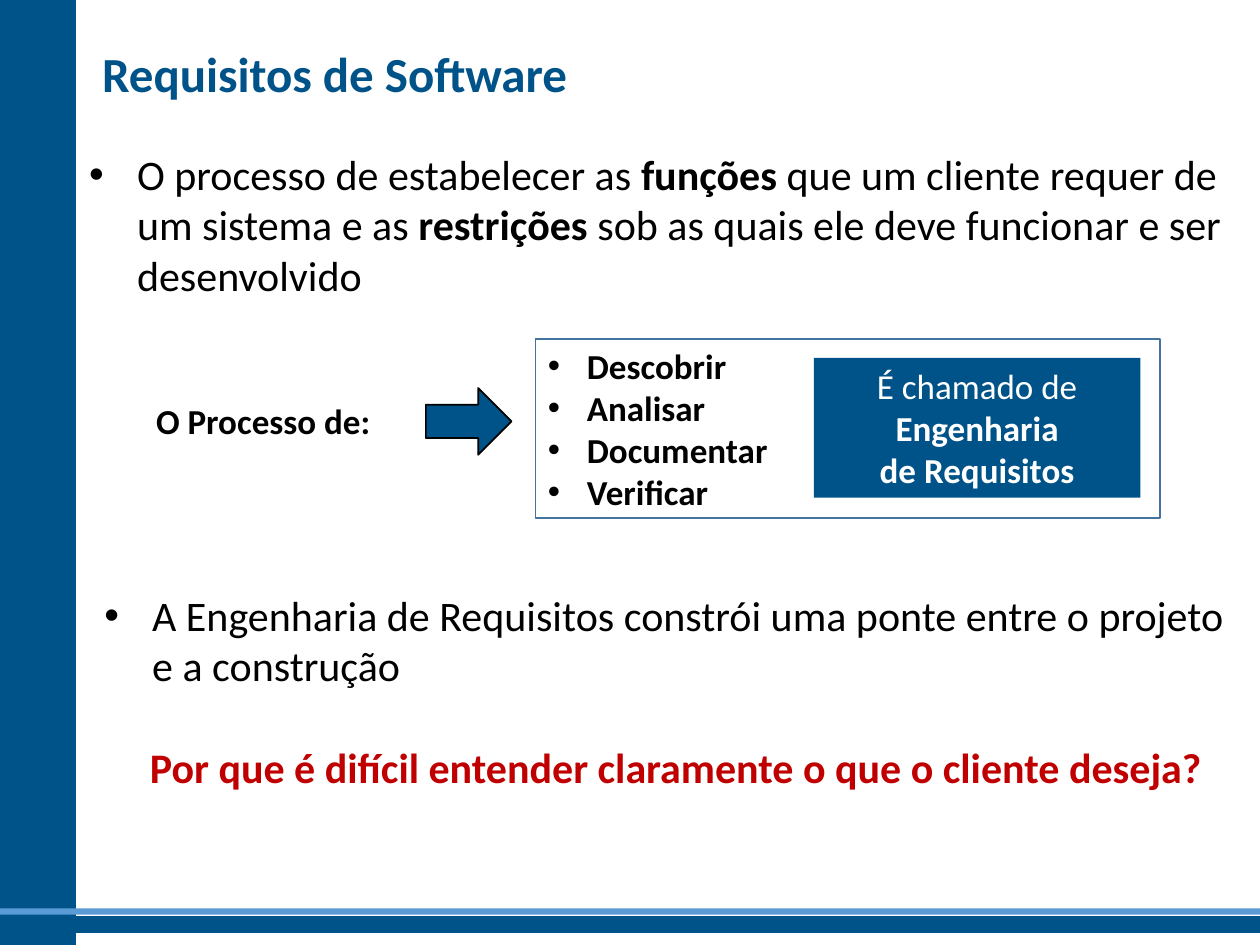
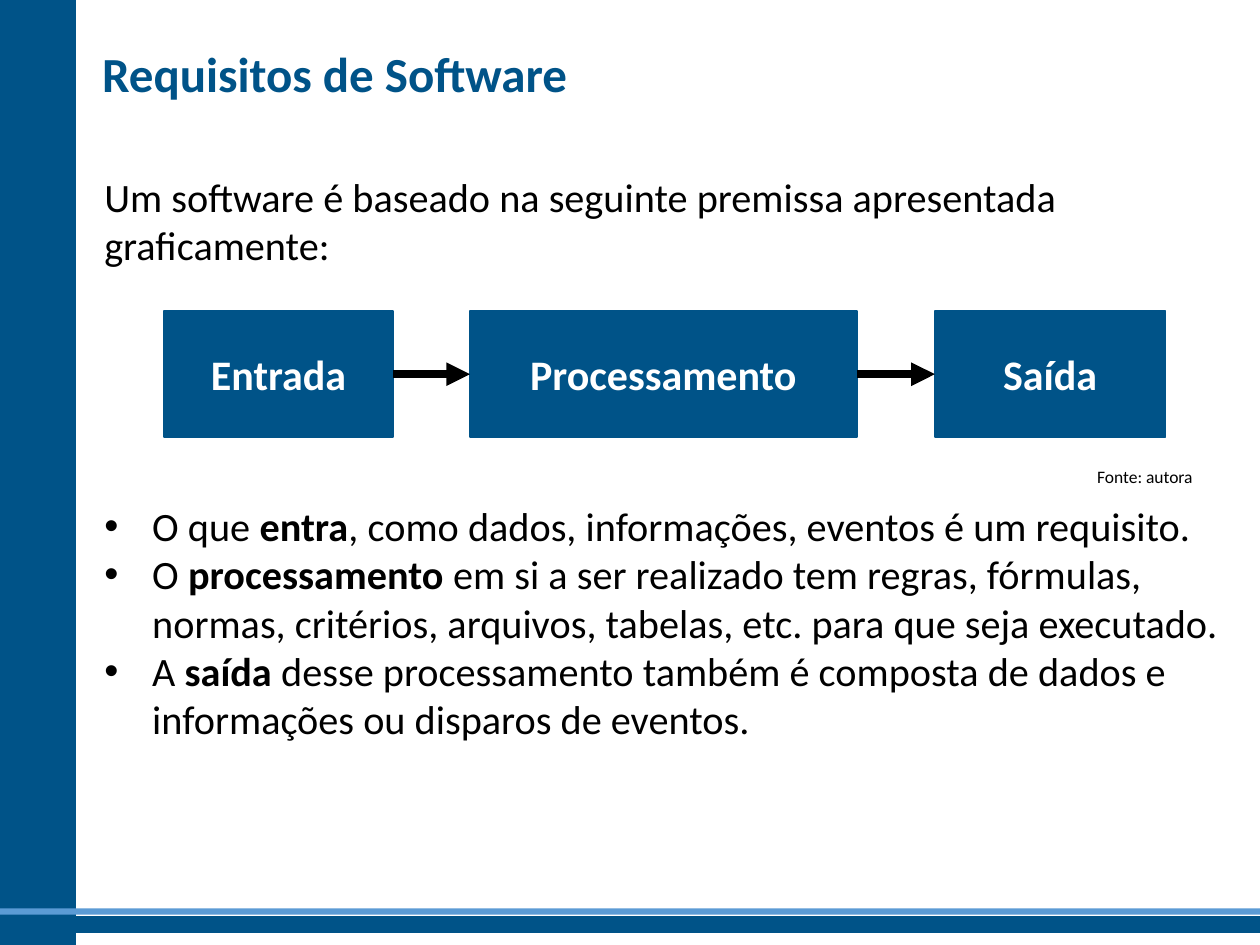
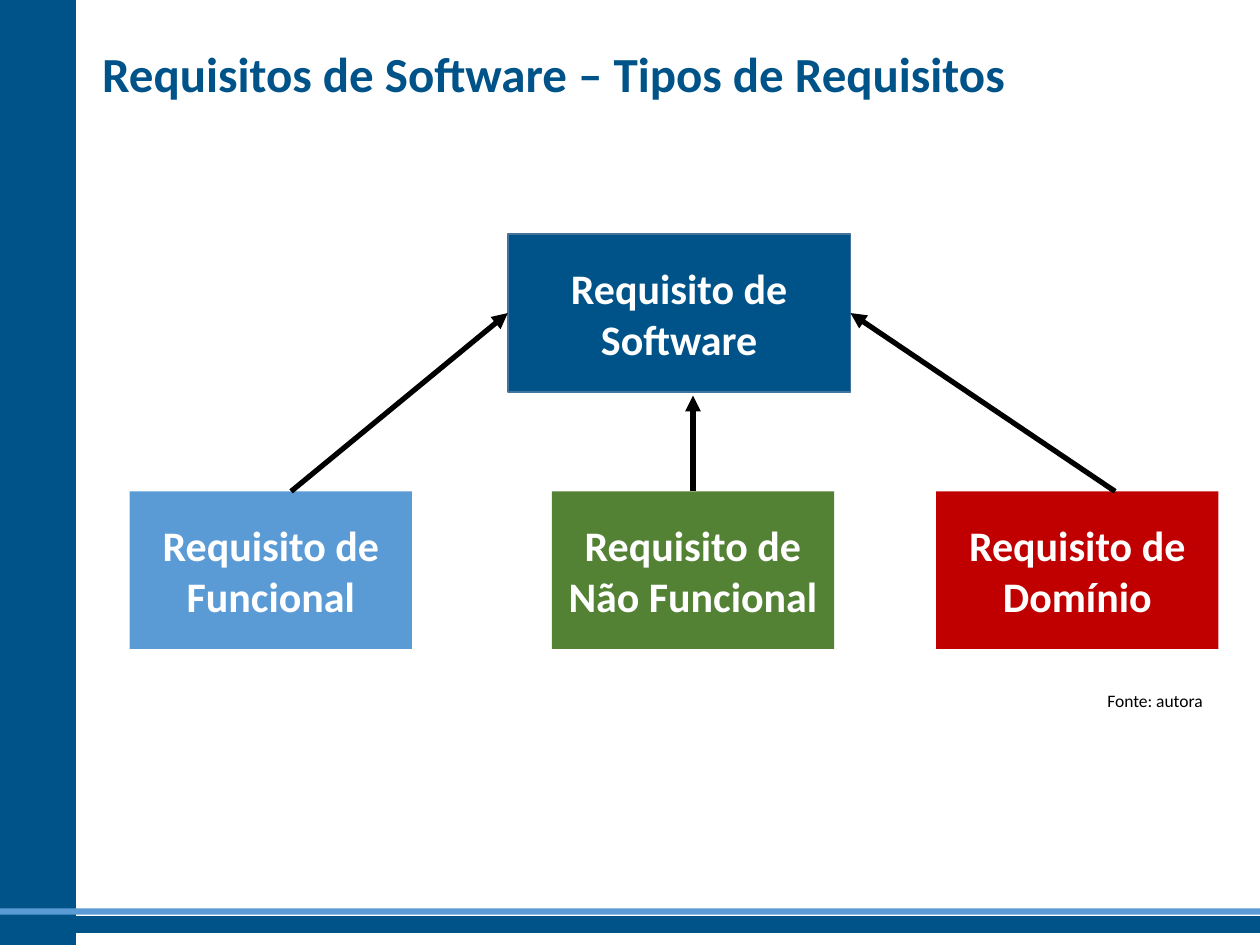
from dataclasses import dataclass
from typing import Optional

from lxml.etree import SubElement
from pptx import Presentation
from pptx.dml.color import RGBColor
from pptx.enum.shapes import MSO_CONNECTOR as Link, MSO_SHAPE as Form
from pptx.enum.text import MSO_ANCHOR as Anchor, MSO_AUTO_SIZE as Fit, PP_ALIGN as Align
from pptx.oxml.ns import qn
from pptx.util import Inches, Pt

BLUE = RGBColor(0x00, 0x53, 0x88)
SKY = RGBColor(0x5B, 0x9B, 0xD5)
EDGE = RGBColor(0x43, 0x73, 0x9E)
GREEN = RGBColor(0x54, 0x82, 0x35)
RED = RGBColor(0xC0, 0x00, 0x00)
BLACK = RGBColor(0x00, 0x00, 0x00)
WHITE = RGBColor(0xFF, 0xFF, 0xFF)
FONT = "Calibri"
TITLE = "Requisitos de Software"
TOP, LEFT, RIGHT = 0, 1, 3


@dataclass
class Para:
    """A paragraph, with bold parts between double asterisks."""
    text: str
    size: float = 24
    color: RGBColor = BLACK
    bold: bool = False
    align: Align = Align.LEFT
    indent: float = 0
    before: float = 0


@dataclass
class Box:
    """A filled preset shape."""
    left: float
    top: float
    width: float
    height: float
    fill: RGBColor = BLUE
    line: Optional[RGBColor] = None
    form: Form = Form.RECTANGLE
    paras: tuple[Para, ...] = ()


BANDS = (
    Box(0, 0, 0.6, 7.5, line=BLUE),
    Box(0, 7.28, 10, 0.12, line=BLUE),
    Box(0, 7.21, 10, 0.05, SKY),
)


def label(text: str, size: float = 24, bold: bool = True) -> Para:
    """Return a white centred paragraph."""
    return Para(text, size, WHITE, bold, Align.CENTER)


def bullet(text: str, size: float = 24) -> Para:
    """Return a bulleted paragraph of body text."""
    return Para(text, size, indent=0.38)


def write(frame, paras: tuple[Para, ...]) -> None:
    """Fill a text frame with paragraphs."""
    for i, item in enumerate(paras):
        para = frame.add_paragraph() if i else frame.paragraphs[0]
        para.alignment = item.align
        if item.before:
            para.space_before = Pt(item.before)
        if item.indent:
            props = para._p.get_or_add_pPr()
            props.set("marL", str(Inches(item.indent)))
            props.set("indent", str(-Inches(item.indent)))
            SubElement(props, qn("a:buFont"), typeface="Arial")
            SubElement(props, qn("a:buChar"), char="•")
        font = para.font
        font.name, font.size, font.bold = FONT, Pt(item.size), item.bold
        font.color.rgb = item.color
        for j, part in enumerate(item.text.split("**")):
            if part:
                run = para.add_run()
                run.text = part
                if j % 2:
                    run.font.bold = True


def draw(slide, box: Box):
    """Draw a filled shape and its text."""
    shape = slide.shapes.add_shape(
        box.form, Inches(box.left), Inches(box.top), Inches(box.width), Inches(box.height))
    shape.shadow.inherit = False
    shape.fill.solid()
    shape.fill.fore_color.rgb = box.fill
    if box.line is None:
        shape.line.fill.background()
    else:
        shape.line.color.rgb = box.line
        shape.line.width = Pt(1)
    shape.text_frame.vertical_anchor = Anchor.MIDDLE
    write(shape.text_frame, box.paras)
    return shape


def note(slide, left: float, top: float, width: float, height: float,
         *paras: Para, wrap: bool = True) -> None:
    """Add a text box."""
    frame = slide.shapes.add_textbox(
        Inches(left), Inches(top), Inches(width), Inches(height)).text_frame
    frame.word_wrap = wrap
    frame.auto_size = Fit.SHAPE_TO_FIT_TEXT
    write(frame, paras)


def credit(slide, left: float, top: float) -> None:
    """Add the source line of a figure."""
    note(slide, left, top, 0.98, 0.27, Para("Fonte: autora", 10), wrap=False)


def arrow(slide, start: tuple[float, float], end: tuple[float, float], width: float):
    """Draw a black line with a head at its end."""
    line = slide.shapes.add_connector(
        Link.STRAIGHT, *(Inches(v) for v in (*start, *end)))
    line.line.color.rgb = BLACK
    line.line.width = Pt(width)
    SubElement(line.line._get_or_add_ln(), qn("a:tailEnd"), type="triangle")
    SubElement(line.element.spPr, qn("a:effectLst"))
    return line


def start(deck, text: str):
    """Add a slide with its title."""
    slide = deck.slides.add_slide(deck.slide_layouts[5])
    title = slide.shapes.title
    title.left, title.top = Inches(0.71), Inches(0.29)
    title.width, title.height = Inches(9.09), Inches(0.57)
    title.text_frame.vertical_anchor = Anchor.MIDDLE
    write(title.text_frame, (Para(text, 28, BLUE, True),))
    return slide


def dress(layout, slide) -> None:
    """Put the bands on the layout in place of its footers."""
    tree = layout.shapes.element
    for holder in list(layout.placeholders)[1:]:
        tree.remove(holder.element)
    for band in BANDS:
        tree.append(draw(slide, band).element)


def process(slide) -> None:
    """Show what requirements engineering is."""
    note(slide, 0.61, 1.13, 9.23, 1.31, bullet(
        "O processo de estabelecer as **funções **que um cliente requer de um sistema "
        "e as **restrições** sob as quais ele deve funcionar e ser desenvolvido"))
    steps = ("Descobrir", "Analisar", "Documentar", "Verificar")
    draw(slide, Box(4.25, 2.69, 4.96, 1.42, WHITE, EDGE, paras=tuple(
        Para(step, 20, bold=True, indent=0.31) for step in steps)))
    note(slide, 1.14, 3.12, 2.16, 0.44, Para("O Processo de:", 20, bold=True))
    draw(slide, Box(6.46, 2.84, 2.59, 1.11, paras=(
        label("É chamado de **Engenharia**", 20, False), label("de Requisitos", 20))))
    draw(slide, Box(3.38, 3.08, 0.68, 0.53, line=BLACK, form=Form.RIGHT_ARROW))
    note(slide, 0.73, 4.63, 9.27, 1.72,
         bullet("A Engenharia de Requisitos constrói uma ponte entre o projeto e a construção"),
         Para("Por que é difícil entender claramente o que o cliente deseja?",
              color=RED, bold=True, align=Align.CENTER, before=29))


def flow(slide) -> None:
    """Show input, processing and output."""
    note(slide, 0.73, 1.32, 9.27, 1.26, Para(
        "Um software é baseado na seguinte premissa apresentada graficamente:", 23))
    stages = (("Entrada", 1.3, 1.82), ("Processamento", 3.73, 3.07), ("Saída", 7.42, 1.83))
    boxes = [draw(slide, Box(left, 2.47, width, 1, line=BLUE, paras=(label(text),)))
             for text, left, width in stages]
    for one, two in zip(boxes, boxes[1:]):
        line = arrow(slide, (0, 0), (1, 1), 4.5)
        line.begin_connect(one, RIGHT)
        line.end_connect(two, LEFT)
    credit(slide, 8.61, 3.65)
    note(slide, 0.73, 3.93, 9.15, 2.04, *(bullet(text, 23) for text in (
        "O que **entra**, como dados, informações, eventos é um requisito.",
        "O **processamento** em si a ser realizado tem regras, fórmulas, normas, "
        "critérios, arquivos, tabelas, etc. para que seja executado.",
        "A **saída** desse processamento também é composta de dados e informações "
        "ou disparos de eventos.")))


def kinds(slide) -> None:
    """Show the tree of requirement types."""
    root = draw(slide, Box(4.03, 1.86, 2.72, 1.25, line=EDGE,
                           paras=(label("Requisito de Software"),)))
    leaves = (("Funcional", 1.03, SKY), ("Não Funcional", 4.38, GREEN), ("Domínio", 7.43, RED))
    boxes = [draw(slide, Box(left, 3.9, 2.24, 1.25, fill,
                             paras=(label(f"Requisito de {name}"),)))
             for name, left, fill in leaves]
    for left, side in ((2.31, LEFT), (8.85, RIGHT)):
        arrow(slide, (left, 3.9), (5, 2.48), 3).end_connect(root, side)
    arrow(slide, (5.5, 3.9), (5.5, 3.14), 3).begin_connect(boxes[1], TOP)
    credit(slide, 8.69, 5.43)


def main() -> None:
    """Build and save the deck."""
    deck = Presentation()
    deck.slide_width, deck.slide_height = Inches(10), Inches(7.5)
    pages = ((TITLE, process), (TITLE, flow), (f"{TITLE} – Tipos de Requisitos", kinds))
    for i, (text, fill) in enumerate(pages):
        slide = start(deck, text)
        if i == 0:
            dress(slide.slide_layout, slide)
        fill(slide)
    deck.save("out.pptx")


if __name__ == "__main__":
    main()
